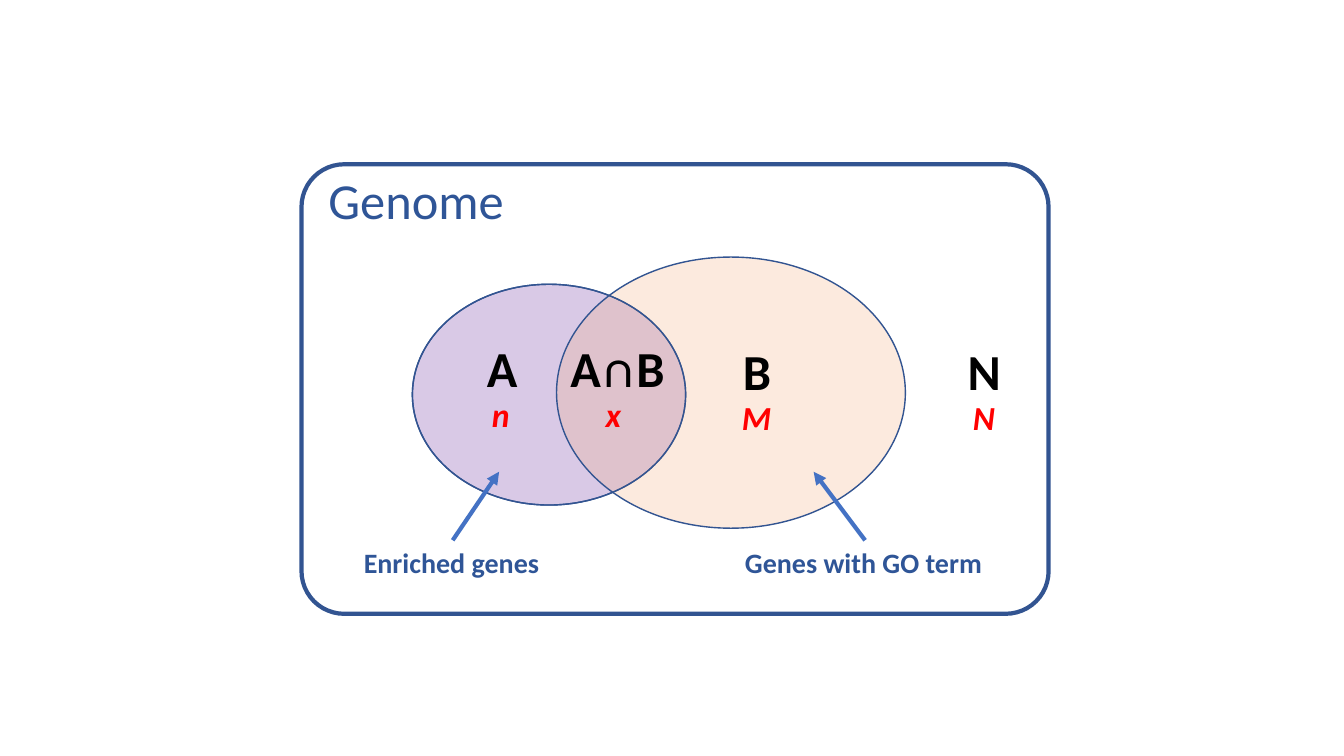
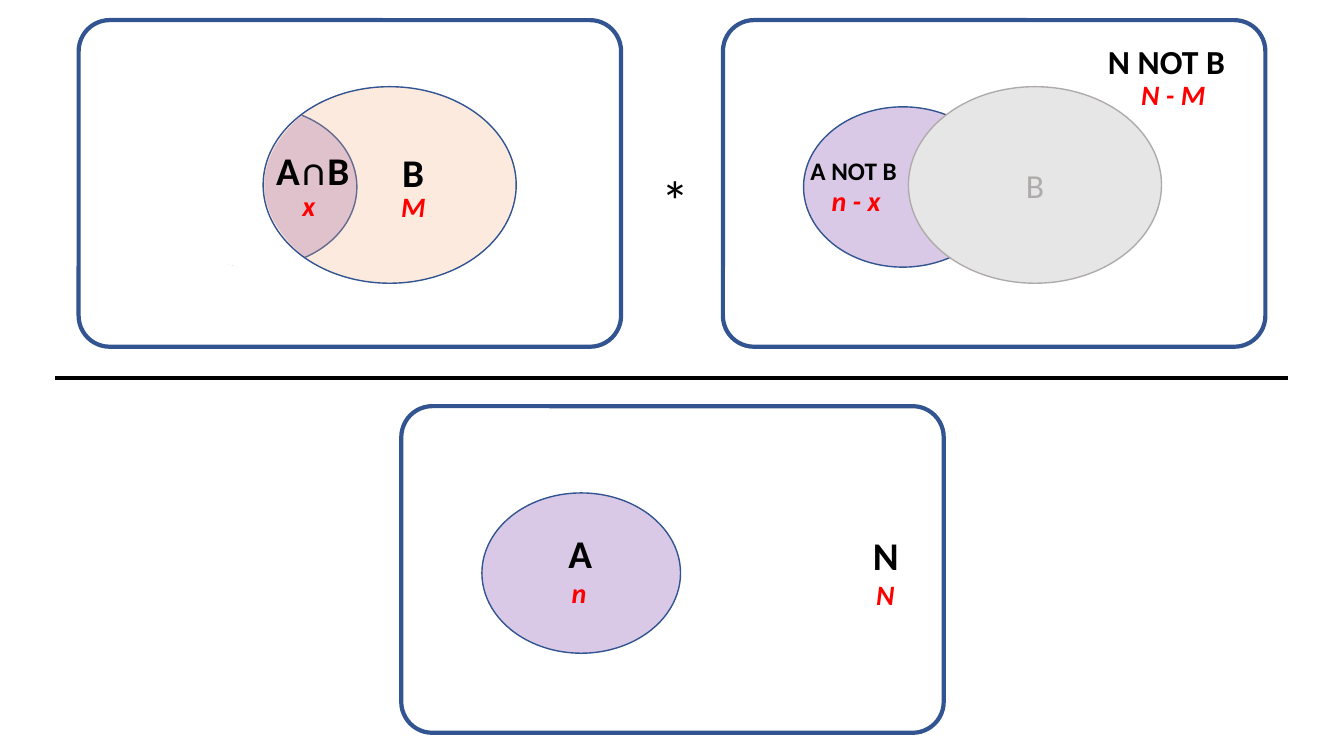
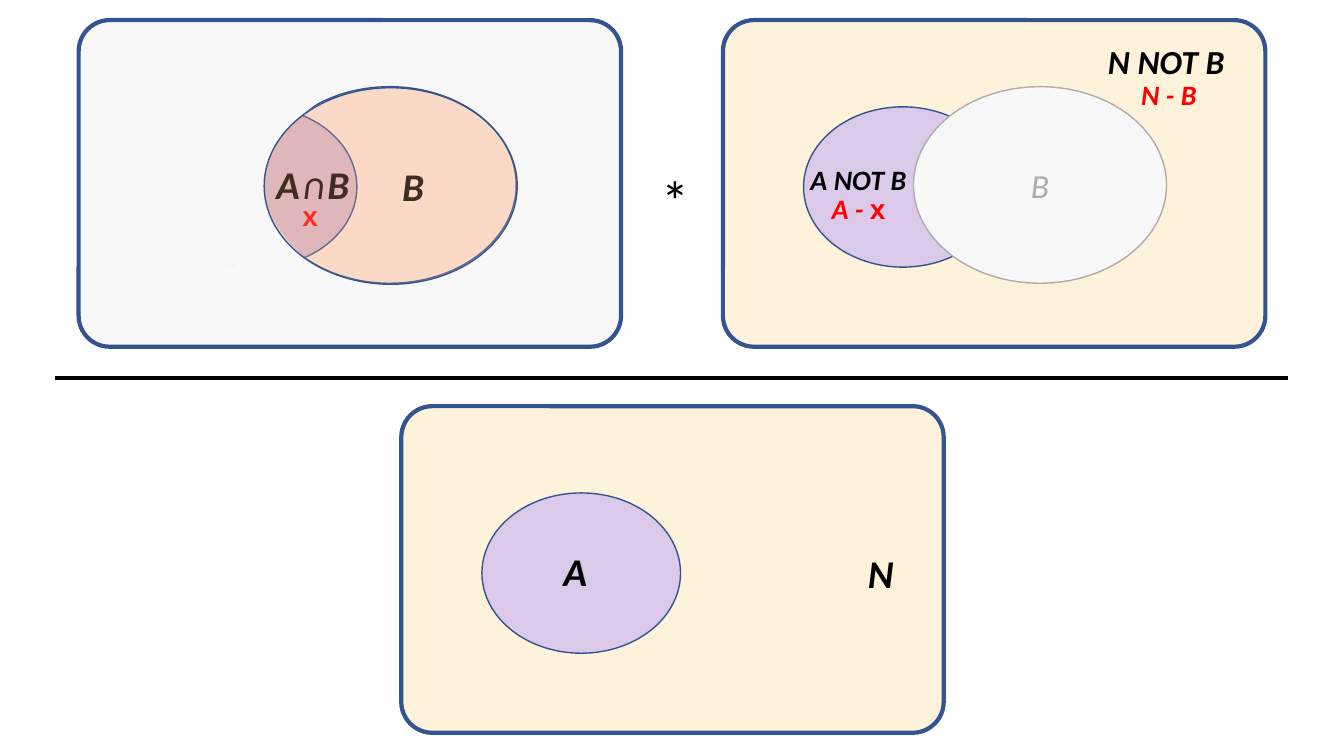
from lxml import etree
from pptx import Presentation
from pptx.dml.color import RGBColor
from pptx.enum import shapes, text
from pptx.oxml import ns
from pptx.util import Inches, Pt

NAVY = RGBColor(0x32, 0x54, 0x91)
HEADING = RGBColor(0x2F, 0x55, 0x97)
ARROW = RGBColor(0x44, 0x72, 0xC4)
PURPLE = RGBColor(0x70, 0x30, 0xA0)
LILAC = RGBColor(0xDA, 0xC9, 0xE8)
ORANGE = RGBColor(0xF4, 0xB1, 0x83)
PEACH = RGBColor(0xFD, 0xB7, 0x88)
CREAM = RGBColor(0xFF, 0xF2, 0xDB)
PALE = RGBColor(0xF9, 0xF8, 0xF9)
LIGHT_GREY = RGBColor(0xE7, 0xE6, 0xE6)
GREY = RGBColor(0xAF, 0xAB, 0xAB)
WHITE = RGBColor(0xFF, 0xFF, 0xFF)
BLACK = RGBColor(0, 0, 0)
RED = RGBColor(0xFF, 0, 0)

A_SIZE = (1.97, 1.59)
B_SIZE = (2.51, 1.95)
FRAME_SIZE = (5.38, 3.24)
Shape = shapes.MSO_SHAPE


class Diagram:
    font_name = "Calibri"

    def __init__(self, presentation):
        self.presentation = presentation
        self.slide = None

    def new_slide(self):
        self.slide = self.presentation.slides.add_slide(self.presentation.slide_layouts[6])

    def shape(self, kind, left, top, size, fill=None, alpha=None, line=NAVY, weight=1, adjust=None):
        width, height = size
        shape = self.slide.shapes.add_shape(
            kind, Inches(left), Inches(top), Inches(width), Inches(height))
        shape.shadow.inherit = False
        if adjust is not None:
            shape.adjustments[0] = adjust
        if fill is None:
            shape.fill.background()
        else:
            shape.fill.solid()
            shape.fill.fore_color.rgb = fill
        if alpha is not None:
            color = shape.fill._xPr.find(".//" + ns.qn("a:srgbClr"))
            etree.SubElement(color, ns.qn("a:alpha"), val=str(alpha * 1000))
        if line is None:
            shape.line.fill.background()
        else:
            shape.line.color.rgb = line
            shape.line.width = Pt(weight)
        return shape

    def frame(self, left, top, size=FRAME_SIZE, fill=None):
        self.shape(Shape.ROUNDED_RECTANGLE, left, top, size, fill, weight=3, adjust=0.095)

    def ellipse(self, left, top, size, fill=None, alpha=None, line=NAVY):
        return self.shape(Shape.OVAL, left, top, size, fill, alpha, line)

    def mask(self, left, top, size, adjust, fill):
        self.shape(Shape.MOON, left, top, size, fill, line=None, adjust=adjust)

    def style(self, paragraph, size, color, bold, italic, name=None):
        font = paragraph.font
        font.name = name or self.font_name
        font.size = Pt(size)
        font.color.rgb = color
        font.bold = bold
        font.italic = italic

    def label(self, words, left, top, width, height, size, color=BLACK,
              bold=True, italic=False, wrap=False, name=None):
        box = self.slide.shapes.add_textbox(
            Inches(left), Inches(top), Inches(width), Inches(height))
        frame = box.text_frame
        frame.word_wrap = wrap
        frame.auto_size = text.MSO_AUTO_SIZE.SHAPE_TO_FIT_TEXT
        paragraph = frame.paragraphs[0]
        paragraph.add_run().text = words
        self.style(paragraph, size, color, bold, italic, name)
        return paragraph

    def count(self, words, left, top, width, size=20, italic=True, wrap=True, name=None):
        height = 0.5 if size == 24 else 0.44
        return self.label(words, left, top, width, height, size, RED,
                          italic=italic, wrap=wrap, name=name)

    def faded_set(self, left, fill, italic):
        ellipse = self.ellipse(left, 0.86, B_SIZE, fill, line=GREY)
        frame = ellipse.text_frame
        frame.vertical_anchor = text.MSO_ANCHOR.MIDDLE
        paragraph = frame.paragraphs[0]
        paragraph.add_run().text = "B"
        paragraph.alignment = text.PP_ALIGN.CENTER
        self.style(paragraph, 24, GREY, False, italic)

    def line(self, start, end, color, arrow=False):
        connector = self.slide.shapes.add_connector(
            shapes.MSO_CONNECTOR.STRAIGHT, *map(Inches, start + end))
        connector.line.color.rgb = color
        connector.line.width = Pt(3)
        if arrow:
            etree.SubElement(connector.line._get_or_add_ln(), ns.qn("a:tailEnd"), type="triangle")
        etree.SubElement(connector._element.spPr, ns.qn("a:effectLst"))

    def fraction(self, left_fill, frame_fill, mask_fill, a_fill, a_alpha, faded_left,
                 faded_fill, not_b_top, not_b_size, overlap_top, lower_left, lower_top,
                 outside, italic):
        self.frame(0.78, 0.2, fill=left_fill)
        if italic:
            self.ellipse(2.61, 0.86, B_SIZE, PEACH, 25)
        self.ellipse(1.57, 1.06, A_SIZE, PURPLE, 26)
        self.mask(1.15, 0.99, (1.88, 1.71), 0.773, mask_fill)
        self.mask(1.5, 0.86, (1.93, 1.95), 0.581, mask_fill)
        if not italic:
            self.ellipse(2.61, 0.86, B_SIZE, ORANGE, 26)
        self.label("A∩B", 2.64, overlap_top, 1.09, 0.57, 28, italic=italic, wrap=True)
        self.label("B", 3.89, overlap_top + 0.02, 0.35, 0.57, 28, italic=italic, wrap=True)

        self.frame(7.17, 0.2, fill=frame_fill)
        self.ellipse(7.97, 1.06, A_SIZE, a_fill, a_alpha)
        self.faded_set(faded_left, faded_fill, italic)
        self.label("A NOT B", 7.94, not_b_top, 1.53, 0.44, not_b_size, italic=italic, wrap=True)
        self.label("N NOT B", 10.89, 0.36, 2.02, 0.5, 24, italic=italic, wrap=True)
        self.count(outside, 11.22, 0.72, 1.05)

        self.label("*", 6.46, 1.59, 0.48, 0.77, 40, bold=False)
        self.line((0.55, 3.75), (12.77, 3.75), BLACK)

        self.frame(3.98, 4.03, fill=frame_fill)
        self.ellipse(4.78, 4.89, A_SIZE, a_fill, a_alpha)
        self.label("A", lower_left, lower_top, 0.44, 0.57, 28, italic=italic)
        self.label("N", lower_left + 3.02, lower_top + 0.02, 0.46, 0.57, 28, italic=italic)


presentation = Presentation()
presentation.slide_width = Inches(13.33)
presentation.slide_height = Inches(7.5)
diagram = Diagram(presentation)

diagram.new_slide()
diagram.frame(2.99, 1.63, (7.41, 4.46))
diagram.label("Genome", 3.16, 1.63, 1.96, 0.71, 36, HEADING, bold=False)
diagram.ellipse(4.09, 2.82, (2.71, 2.19), PURPLE, 26)
diagram.ellipse(5.52, 2.55, (3.46, 2.69), ORANGE, 26)
diagram.ellipse(4.09, 2.82, (2.71, 2.19))
for words, left, top, width, symbol, symbol_left, symbol_width in (
    ("N", 9.5, 3.32, 0.53, "N", 9.55, 0.42),
    ("A∩B", 5.56, 3.29, 1.15, "x", 5.91, 0.36),
    ("B", 7.27, 3.32, 0.48, "M", 7.26, 0.5),
    ("A", 4.73, 3.29, 0.51, "n", 4.78, 0.38),
):
    diagram.label(words, left, top, width, 0.71, 36)
    diagram.count(symbol, symbol_left, top + 0.57, symbol_width, 24, wrap=False)
diagram.label("Enriched genes", 3.51, 5.36, 1.96, 0.44, 20, HEADING)
diagram.label("Genes with GO term", 7.29, 5.36, 2.57, 0.44, 20, HEADING)
diagram.line((4.49, 5.36), (4.95, 4.68), ARROW, arrow=True)
diagram.line((8.58, 5.36), (8.07, 4.68), ARROW, arrow=True)

diagram.new_slide()
diagram.fraction(
    left_fill=None, frame_fill=None, mask_fill=WHITE, a_fill=PURPLE, a_alpha=26,
    faded_left=9.01, faded_fill=LIGHT_GREY, not_b_top=1.49, not_b_size=18,
    overlap_top=1.4, lower_left=5.54, lower_top=5.2, outside="N - M", italic=False)
for symbol, left, top, width in (
    ("x", 2.9, 1.82, 0.37),
    ("M", 3.88, 1.83, 0.51),
    ("n - x", 8.15, 1.77, 0.87),
    ("N", 8.59, 5.68, 0.55),
    ("n", 5.57, 5.66, 0.49),
):
    diagram.count(symbol, left, top, width)

diagram.new_slide()
diagram.fraction(
    left_fill=PALE, frame_fill=CREAM, mask_fill=PALE, a_fill=LILAC, a_alpha=None,
    faded_left=9.06, faded_fill=PALE, not_b_top=1.56, not_b_size=20,
    overlap_top=1.54, lower_left=5.49, lower_top=5.38, outside="N - B", italic=True)
diagram.count("x", 2.9, 1.92, 0.37, italic=False, name="Arial")
difference = diagram.count("A - ", 8.15, 1.85, 0.87)
overlap = difference.add_run()
overlap.text = "x"
overlap.font.name = "Arial"
overlap.font.italic = False
diagram.ellipse(2.62, 0.87, B_SIZE, PEACH, 25)

presentation.save("out.pptx")
